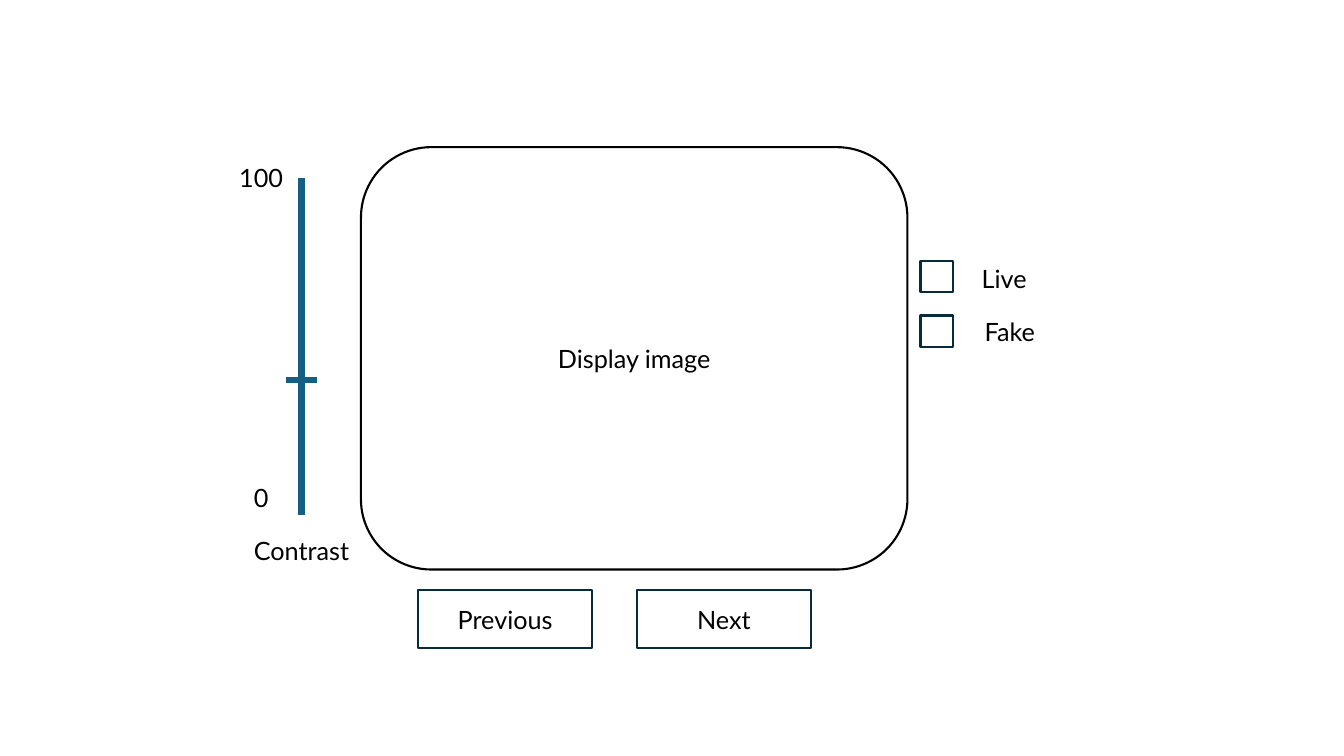
"""Build a wireframe slide of an image labelling screen."""
from pptx import Presentation
from pptx.dml.color import RGBColor
from pptx.enum.shapes import MSO_CONNECTOR, MSO_SHAPE
from pptx.enum.text import MSO_ANCHOR, PP_ALIGN
from pptx.util import Inches, Pt
from lxml import etree

COLORS = {"text": "000000", "frame": "000000", "control": "092A39", "slider": "156082"}
FONT = "Lato"
FRAME = ("Display image", 3.58, 1.46, 5.42, 4.19)
BUTTONS = ["Previous", "Next"]
CHOICES = [("Live", 1.02, 0.35), ("Fake", 1.13, 0.31)]
SLIDER_LABELS = [("100", 1.73, 1.47), ("0", 1.73, 4.64), ("Contrast", 2.13, 5.17)]
SLIDER_LINES = [(2.99, 1.77, 2.99, 5.11), (3.14, 3.77, 2.84, 3.77)]
LABEL_W, LABEL_H = 1.72, 0.58
BUTTON_X, BUTTON_Y, BUTTON_STEP = 4.15, 5.85, 2.17
BOX_X, BOX_Y, BOX_W, BOX_H, BOX_STEP = 9.13, 2.59, 0.32, 0.31, 0.54


def rgb(name):
    return RGBColor.from_string(COLORS[name])


def put_text(sp, text):
    tf = sp.text_frame
    tf.word_wrap = True
    tf.vertical_anchor = MSO_ANCHOR.MIDDLE
    p = tf.paragraphs[0]
    p.text = text
    p.alignment = PP_ALIGN.CENTER
    p.font.name = FONT
    p.font.size = Pt(18)
    p.font.color.rgb = rgb("text")


def add_label(s, text, *box):
    put_text(s.shapes.add_textbox(*map(Inches, box)), text)


def add_outline(s, kind, color, text, *box):
    sp = s.shapes.add_shape(kind, *map(Inches, box))
    sp.shadow.inherit = False
    sp.fill.background()
    sp.line.color.rgb = rgb(color)
    sp.line.width = Pt(1.5)
    if text:
        put_text(sp, text)


def add_line(s, *ends):
    ln = s.shapes.add_connector(MSO_CONNECTOR.STRAIGHT, *map(Inches, ends))
    ln.line.color.rgb = rgb("slider")
    ln.line.width = Pt(4.5)
    props = ln._element.spPr
    etree.SubElement(props, props.tag.split("}")[0].replace(
        "presentationml", "drawingml") + "}effectLst")
    props[-1].tag = "{http://schemas.openxmlformats.org/drawingml/2006/main}effectLst"


def main():
    prs = Presentation()
    prs.slide_width, prs.slide_height = Inches(13.33), Inches(7.5)
    s = prs.slides.add_slide(prs.slide_layouts[6])

    add_outline(s, MSO_SHAPE.ROUNDED_RECTANGLE, "frame", *FRAME)
    for i, text in enumerate(BUTTONS):
        add_outline(s, MSO_SHAPE.RECTANGLE, "control", text,
                    BUTTON_X + i * BUTTON_STEP, BUTTON_Y, LABEL_W, LABEL_H)
    for ends in SLIDER_LINES:
        add_line(s, *ends)
    for text, x, y in SLIDER_LABELS:
        add_label(s, text, x, y, LABEL_W, LABEL_H)
    for i, (text, w, h) in enumerate(CHOICES):
        y = BOX_Y + i * BOX_STEP
        add_outline(s, MSO_SHAPE.RECTANGLE, "control", "", BOX_X, y, BOX_W, BOX_H)
        add_label(s, text, BOX_X + BOX_W, y, w, h)

    prs.save("out.pptx")


if __name__ == "__main__":
    main()
